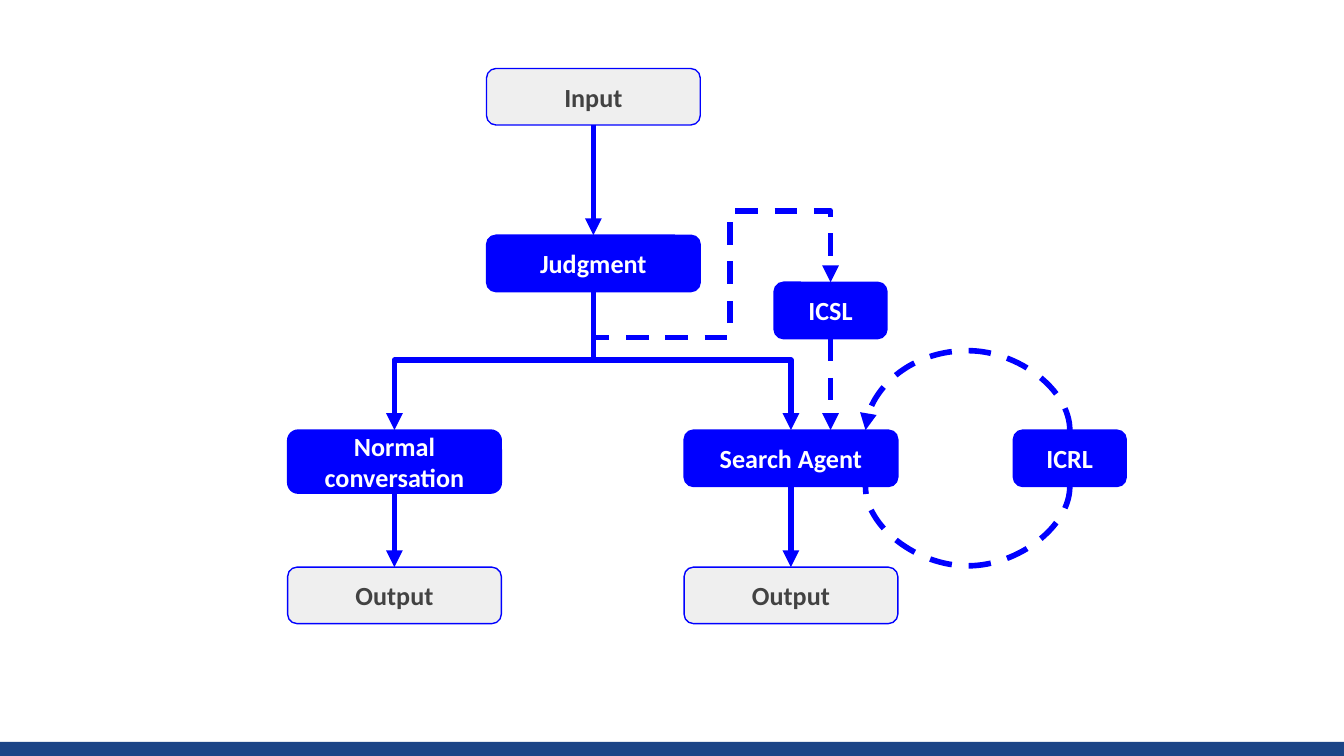
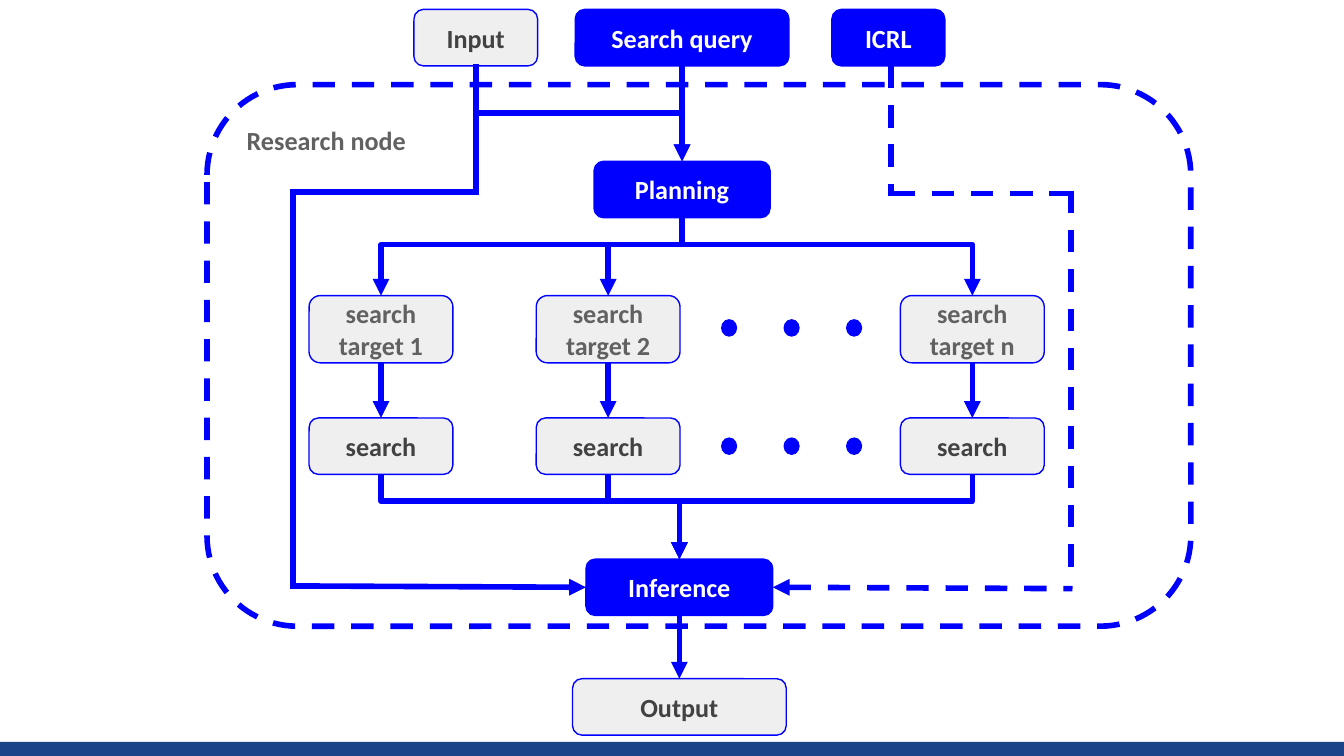
"""Builds two flowcharts: the agent workflow and its research node."""
from lxml.etree import SubElement
from pptx import Presentation
from pptx.dml.color import RGBColor
from pptx.enum.dml import MSO_LINE
from pptx.enum.shapes import MSO_CONNECTOR as CONNECTOR, MSO_SHAPE as SHAPE
from pptx.enum.text import MSO_ANCHOR as ANCHOR, PP_ALIGN as ALIGN
from pptx.oxml.ns import qn
from pptx.util import Inches, Pt

BLUE = RGBColor(0x00, 0x00, 0xFF)
NAVY = RGBColor(0x1C, 0x45, 0x87)
PALE = RGBColor(0xEF, 0xEF, 0xEF)
WHITE = RGBColor(0xFF, 0xFF, 0xFF)
DARK = RGBColor(0x42, 0x42, 0x42)
GRAY = RGBColor(0x61, 0x61, 0x61)
FONT = "Calibri"
TOP, LEFT, BOTTOM, RIGHT = range(4)

ACTIVE = (BLUE, WHITE)
PLAIN = (PALE, DARK)
TARGET = (PALE, GRAY)
WIDE, SMALL, COLUMN = 1.59, 0.84, 1.07
HEIGHT = 0.42

WORKFLOW_BOXES = {
    "input": ("Input", 3.62, 0.51, WIDE, HEIGHT, PLAIN),
    "judgment": ("Judgment", 3.62, 1.75, WIDE, HEIGHT, ACTIVE),
    "agent": ("Search Agent", 5.09, 3.2, WIDE, HEIGHT, ACTIVE),
    "conversation": ("Normal conversation", 2.14, 3.2, WIDE, 0.47, ACTIVE),
    "conversation output": ("Output", 2.14, 4.22, WIDE, HEIGHT, PLAIN),
    "agent output": ("Output", 5.09, 4.22, WIDE, HEIGHT, PLAIN),
    "icrl": ("ICRL", 7.54, 3.2, SMALL, HEIGHT, ACTIVE),
    "icsl": ("ICSL", 5.76, 2.1, SMALL, HEIGHT, ACTIVE),
}
WORKFLOW_ARROWS = [
    ("input", "judgment"),
    ("conversation", "conversation output"),
    ("agent", "agent output"),
]
WORKFLOW_ELBOWS = [("judgment", "agent", 2.68), ("judgment", "conversation", 2.68)]
LOOP_X = 6.44
LOOP_DEPTH = 0.5

RESEARCH_BOXES = {
    "planning": ("Planning", 4.42, 1.2, 1.31, HEIGHT, ACTIVE),
    "query": ("Search query", 4.28, 0.07, WIDE, HEIGHT, ACTIVE),
    "inference": ("Inference", 4.36, 4.16, 1.39, HEIGHT, ACTIVE),
    "input": ("Input", 3.08, 0.07, 0.92, HEIGHT, PLAIN),
    "output": ("Output", 4.26, 5.05, WIDE, HEIGHT, PLAIN),
    "icrl": ("ICRL", 6.19, 0.07, SMALL, HEIGHT, ACTIVE),
}
RESEARCH_ARROWS = [("query", "planning"), ("inference", "output")]
RESEARCH_ELBOWS = [("input", "planning", 0.84)]
SEARCH_COLUMNS = {"1": 2.3, "2": 3.99, "n": 6.7}
for number, column_left in SEARCH_COLUMNS.items():
    target, search = f"target {number}", f"search {number}"
    RESEARCH_BOXES[target] = (f"search target {number}", column_left, 2.2, COLUMN, 0.5, TARGET)
    RESEARCH_BOXES[search] = ("search", column_left, 3.11, COLUMN, HEIGHT, PLAIN)
    RESEARCH_ARROWS.append((target, search))
    RESEARCH_ELBOWS += [("planning", target, 1.82), (search, "inference", 3.73)]
DOT_ROWS = (2.38, 3.26)
DOT_LEFT, DOT_STEP, DOT_COUNT = 5.37, 0.465, 3
INPUT_BYPASS = [
    ((3.54, 0.48), (3.54, 1.45)),
    ((2.18, 1.41), (2.18, 4.38)),
    ((2.18, 1.43), (3.55, 1.43)),
]
ICRL_BYPASS = [
    ((6.63, 0.49), (6.63, 1.46)),
    ((7.97, 1.42), (7.97, 4.32)),
    ((6.64, 1.44), (7.98, 1.44)),
]


def add_shape(slide, kind, left, top, width, height, fill=None, line=BLUE, weight=0.75):
    shape = slide.shapes.add_shape(kind, *map(Inches, (left, top, width, height)))
    shape.shadow.inherit = False
    if fill is None:
        shape.fill.background()
    else:
        shape.fill.solid()
        shape.fill.fore_color.rgb = fill
    if line is None:
        shape.line.fill.background()
    else:
        shape.line.color.rgb = line
        shape.line.width = Pt(weight)
    return shape


def write(shape, text, color, align=ALIGN.CENTER, anchor=ANCHOR.MIDDLE):
    frame = shape.text_frame
    frame.word_wrap = True
    frame.vertical_anchor = anchor
    frame.margin_left = frame.margin_right = Inches(0.1)
    frame.margin_top = frame.margin_bottom = Inches(0.1)
    paragraph = frame.paragraphs[0]
    paragraph.text = text
    paragraph.alignment = align
    font = paragraph.font
    font.name, font.size, font.bold = FONT, Pt(14), True
    font.color.rgb = color


def add_boxes(slide, boxes):
    shapes = {}
    for name, (text, left, top, width, height, (fill, color)) in boxes.items():
        shapes[name] = add_shape(slide, SHAPE.ROUNDED_RECTANGLE, left, top, width, height, fill)
        write(shapes[name], text, color)
    return shapes


def style_connector(connector, dashed, arrow):
    connector.line.color.rgb = BLUE
    connector.line.width = Pt(3)
    if dashed:
        connector.line.dash_style = MSO_LINE.DASH
    properties = connector.element.spPr
    if arrow:
        SubElement(properties.find(qn("a:ln")), qn(f"a:{arrow}End"), type="triangle")
    SubElement(properties, qn("a:effectLst"))


def add_line(slide, start, end, dashed=False, arrow=None, begin=None, finish=None):
    points = map(Inches, (*start, *end))
    connector = slide.shapes.add_connector(CONNECTOR.STRAIGHT, *points)
    if begin:
        connector.begin_connect(*begin)
    if finish:
        connector.end_connect(*finish)
    style_connector(connector, dashed, arrow)


def middle(shape, side):
    """Return the middle of the top or bottom side in inches."""
    x = shape.left + shape.width / 2
    y = shape.top + (shape.height if side == BOTTOM else 0)
    return x / Inches(1), y / Inches(1)


def add_bend(slide, start, end, bends, kind=CONNECTOR.ELBOW, dashed=False, arrow="tail"):
    """Draw a connector that leaves vertically; bends alternate y, x, y."""
    (x1, y1), (x2, y2) = start, end
    across, down = x2 - x1, (y2 - y1) or 0.001
    width, height = abs(down), abs(across)
    left, top = (x1 + x2 - width) / 2, (y1 + y2 - height) / 2
    corners = map(Inches, (left, top, left + width, top + height))
    connector = slide.shapes.add_connector(kind, *corners)
    properties = connector.element.spPr
    frame = properties.find(qn("a:xfrm"))
    frame.set("rot", str((270 if across > 0 else 90) * 60000))
    if across > 0 and down > 0:
        frame.set("flipH", "1")
    geometry = properties.find(qn("a:prstGeom"))
    geometry.set("prst", geometry.get("prst")[:-1] + str(len(bends) + 2))
    guides = geometry.find(qn("a:avLst"))
    for index, bend in enumerate(bends):
        share = (bend - x1) / across if index % 2 else (bend - y1) / down
        SubElement(guides, qn("a:gd"), name=f"adj{index + 1 if len(bends) > 1 else 1}",
                   fmla=f"val {round(share * 100000)}")
    style_connector(connector, dashed, arrow)


def add_flow(slide, boxes, arrows, elbows):
    shapes = add_boxes(slide, boxes)
    for source, target in arrows:
        first, second = shapes[source], shapes[target]
        add_line(slide, middle(first, BOTTOM), middle(second, TOP), arrow="tail",
                 begin=(first, BOTTOM), finish=(second, TOP))
    for source, target, bend in elbows:
        add_bend(slide, middle(shapes[source], BOTTOM), middle(shapes[target], TOP), [bend])
    return shapes


def build_workflow(slide):
    shapes = add_flow(slide, WORKFLOW_BOXES, WORKFLOW_ARROWS, WORKFLOW_ELBOWS)
    icsl, icrl = shapes["icsl"], shapes["icrl"]
    for side, depth, arrow in ((BOTTOM, LOOP_DEPTH, None), (TOP, -LOOP_DEPTH, "tail")):
        x, y = middle(icrl, side)
        add_bend(slide, (x, y), (LOOP_X, y), [y + depth], CONNECTOR.CURVE, True, arrow)
    add_bend(slide, middle(shapes["judgment"], BOTTOM), middle(icsl, TOP),
             [2.51, 5.43, 1.57], dashed=True)
    x, y = middle(icsl, BOTTOM)
    add_line(slide, (x, y), (x, 3.2), True, "tail", begin=(icsl, BOTTOM))


def build_research(slide):
    node = add_shape(slide, SHAPE.ROUNDED_RECTANGLE, 1.54, 0.63, 7.32, 4.03, weight=3)
    node.line.dash_style = MSO_LINE.DASH
    write(node, "Research node", GRAY, ALIGN.LEFT, ANCHOR.TOP)
    shapes = add_flow(slide, RESEARCH_BOXES, RESEARCH_ARROWS, RESEARCH_ELBOWS)
    for top in DOT_ROWS:
        for index in range(DOT_COUNT):
            add_shape(slide, SHAPE.OVAL, DOT_LEFT + index * DOT_STEP, top, 0.11, 0.12, BLUE)
    for lines, dashed in ((INPUT_BYPASS, False), (ICRL_BYPASS, True)):
        for start, end in lines:
            add_line(slide, start, end, dashed)
    inference = shapes["inference"]
    add_line(slide, (2.2, 4.36), (4.36, 4.37), arrow="tail", finish=(inference, LEFT))
    add_line(slide, (5.75, 4.37), (7.98, 4.38), True, "head", begin=(inference, RIGHT))


def main():
    presentation = Presentation()
    presentation.slide_width, presentation.slide_height = Inches(10), Inches(5.625)
    blank = presentation.slide_layouts[6]
    workflow, research = (presentation.slides.add_slide(blank) for _ in range(2))
    band = add_shape(workflow, SHAPE.RECTANGLE, 0, 5.52, 10, 0.11, NAVY, None)
    presentation.slide_master.shapes.element.append(band.element)
    build_workflow(workflow)
    build_research(research)
    presentation.save("out.pptx")


if __name__ == "__main__":
    main()
